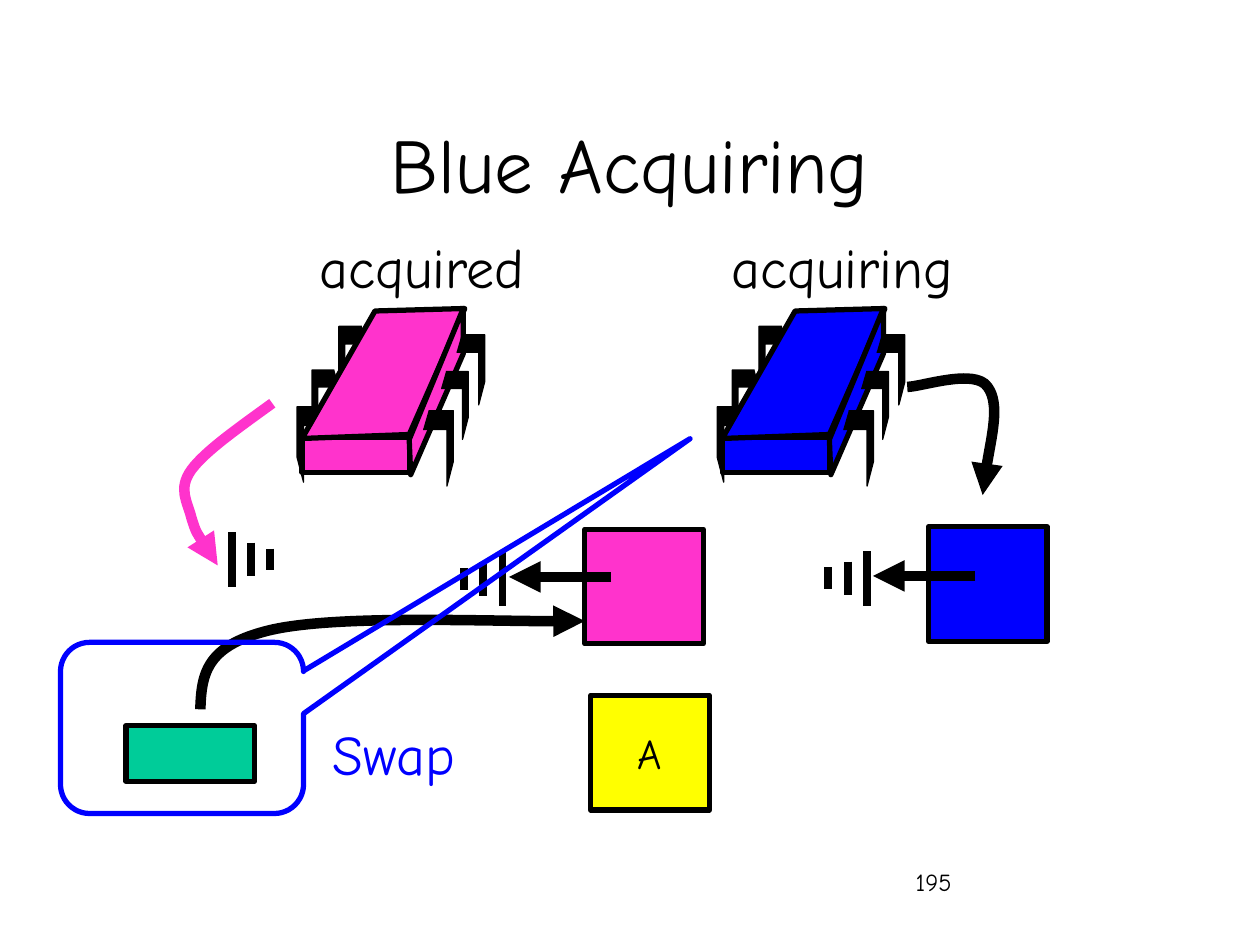
from dataclasses import dataclass

from lxml.etree import SubElement
from pptx import Presentation
from pptx.dml.color import RGBColor
from pptx.enum.shapes import MSO_CONNECTOR as Connector, MSO_SHAPE as Preset
from pptx.enum.text import MSO_ANCHOR as Anchor, MSO_AUTO_SIZE as AutoSize, PP_ALIGN as Align
from pptx.oxml.ns import qn
from pptx.util import Cm, Pt

COLORS = {"black": "000000", "pink": "FF33CC", "blue": "0000FF",
          "green": "00CC99", "yellow": "FFFF00"}
FONT = "Comic Neue"
TITLE_FRAME = {"word_wrap": True, "vertical_anchor": Anchor.MIDDLE}
LABEL_FRAME = {"word_wrap": False, "auto_size": AutoSize.SHAPE_TO_FIT_TEXT}
NODE_FRAME = {"word_wrap": False, "vertical_anchor": Anchor.MIDDLE}
NODE_SIZE = (2.39, 2.31)

Point = tuple[float, float]
Box = tuple[float, float, float, float]


@dataclass
class Label:
    text: str
    box: Box
    size: int = 32
    align: Align = Align.CENTER
    color: str = "black"


@dataclass
class Leg:
    x: float
    y: float
    side: int
    scale: float


@dataclass
class Robot:
    left: float
    color: str
    label: Label


@dataclass
class Ground:
    x: float
    y: float
    direction: int


@dataclass
class Curve:
    color: str
    points: list[Point]


ROBOT_TOP = 6.22
LEG_OUTLINE = [(0.5, 0), (0, 0), (0, 1.02), (0.13, 1.52), (0.13, 0.38), (0.61, 0.38)]
LEFT_LEGS = [Leg(0, 1.98, 1, 1), Leg(0.3, 1.24, 1, 0.9), Leg(0.84, 0.36, 1, 0.93)]
RIGHT_LEGS = [Leg(3.15, 2.06, -1, 1), Leg(3.45, 1.27, -1, 0.9), Leg(3.78, 0.53, -1, 0.93)]
ROBOT_FACES = [
    [(0.1, 2.62), (2.26, 2.54), (3.38, 0), (1.57, 0.05)],
    [(3.35, 0), (3.35, 0.91), (2.29, 3.35), (2.26, 2.64)],
]
ROBOTS = [
    Robot(5.99, "pink", Label("acquired", (5.99, 4.57, 5.03, 1.62))),
    Robot(14.46, "blue", Label("acquiring", (14.38, 4.57, 5.21, 1.6))),
]
GROUNDS = [Ground(10.13, 11.67, -1), Ground(4.67, 11.28, 1), Ground(17.48, 11.66, -1)]
GROUND_BARS = [1.1, 0.68, 0.44]
GROUND_STEP = 0.39
CURVES = [
    Curve("pink", [(5.49, 8.13), (4.83, 8.61), (4.14, 9.09), (3.86, 9.47), (3.58, 9.86),
                   (3.78, 10.11), (3.86, 10.44), (3.96, 10.77), (4.17, 11.07), (4.39, 11.4)]),
    Curve("black", [(4.04, 14.3), (4.06, 13.54), (4.19, 13), (5.46, 12.7),
                    (6.76, 12.4), (10.46, 12.55), (11.79, 12.52)]),
    Curve("black", [(18.29, 7.8), (18.57, 7.8), (19.66, 7.42), (19.91, 7.8),
                    (20.17, 8.15), (19.84, 9.53), (19.81, 9.98)]),
]
POINTERS = [((12.32, 11.63), (10.26, 11.63)), ((19.66, 11.61), (17.6, 11.61))]


def rgb(name: str) -> RGBColor:
    return RGBColor.from_string(COLORS[name])


def set_values(target, values: dict) -> None:
    for name, value in values.items():
        setattr(target, name, value)


def set_line(shape, color: str, width: float) -> None:
    shape.line.color.rgb = rgb(color)
    shape.line.width = Pt(width)


def style(shape, fill: str | None, line: str = "black", width: float = 3) -> None:
    shape.shadow.inherit = False
    if fill:
        shape.fill.solid()
        shape.fill.fore_color.rgb = rgb(fill)
    else:
        shape.fill.background()
    set_line(shape, line, width)


def write(shape, label: Label, frame_values: dict) -> None:
    set_values(shape.text_frame, frame_values)
    paragraph = shape.text_frame.paragraphs[0]
    paragraph.alignment = label.align
    run = paragraph.add_run()
    run.text = label.text
    set_values(run.font, {"name": FONT, "size": Pt(label.size)})
    run.font.color.rgb = rgb(label.color)


def add_label(shapes, label: Label, frame_values: dict = LABEL_FRAME) -> None:
    write(shapes.add_textbox(*map(Cm, label.box)), label, frame_values)


def add_rectangle(shapes, box: Box, fill: str):
    shape = shapes.add_shape(Preset.RECTANGLE, *map(Cm, box))
    style(shape, fill)
    return shape


def add_outline(shapes, points: list[Point], close: bool):
    start, *others = [(Cm(x), Cm(y)) for x, y in points]
    builder = shapes.build_freeform(*start)
    builder.add_line_segments(others, close=close)
    return builder.convert_to_shape()


def add_arrowhead(shape) -> None:
    SubElement(shape.line._get_or_add_ln(), qn("a:tailEnd"), type="triangle")


def add_curve(shapes, curve: Curve) -> None:
    """Turn each three segments of the control polygon into one Bézier segment."""
    shape = add_outline(shapes, curve.points, close=False)
    path = next(shape._element.iter(qn("a:path")))
    segments = path.findall(qn("a:lnTo"))
    for first in range(0, len(segments), 3):
        bezier = SubElement(path, qn("a:cubicBezTo"))
        for segment in segments[first:first + 3]:
            bezier.append(segment[0])
            path.remove(segment)
    style(shape, None, curve.color, 6)
    add_arrowhead(shape)


def add_line(shapes, start: Point, end: Point, width: float):
    line = shapes.add_connector(Connector.STRAIGHT, *map(Cm, (*start, *end)))
    set_line(line, "black", width)
    SubElement(line._element.spPr, qn("a:effectLst"))
    return line


def add_legs(shapes, robot: Robot, legs: list[Leg]) -> None:
    for leg in legs:
        points = [(robot.left + leg.x + leg.side * leg.scale * x,
                   ROBOT_TOP + leg.y + leg.scale * y) for x, y in LEG_OUTLINE]
        style(add_outline(shapes, points, close=False), "black", width=0.75)


def add_robot(slide, robot: Robot) -> None:
    shapes = slide.shapes.add_group_shape().shapes
    add_rectangle(shapes, (robot.left + 0.1, ROBOT_TOP + 2.59, 2.16, 0.71), robot.color)
    add_legs(shapes, robot, LEFT_LEGS)
    for face in ROBOT_FACES:
        points = [(robot.left + x, ROBOT_TOP + y) for x, y in face]
        style(add_outline(shapes, points, close=True), robot.color)
    add_legs(shapes, robot, RIGHT_LEGS)
    add_label(shapes, robot.label)


def add_ground(slide, ground: Ground) -> None:
    shapes = slide.shapes.add_group_shape().shapes
    for index, height in enumerate(GROUND_BARS):
        x = ground.x + ground.direction * index * GROUND_STEP
        add_line(shapes, (x, ground.y - height / 2), (x, ground.y + height / 2), 4.5)


def main() -> None:
    presentation = Presentation()
    set_values(presentation, {"slide_width": Cm(25.4), "slide_height": Cm(19.05)})
    slide = presentation.slides.add_slide(presentation.slide_layouts[6])
    shapes = slide.shapes

    add_label(shapes, Label("195", (18.21, 17.35, 5.28, 1.27), 14, Align.LEFT), {"word_wrap": True})
    add_label(shapes, Label("Blue Acquiring", (1.9, 1.7, 21.59, 3.18), 44), TITLE_FRAME)
    add_rectangle(shapes, (2.54, 14.63, 2.59, 1.12), "green")
    for robot in ROBOTS:
        add_robot(slide, robot)

    lock_box = (11.91, 14.02, *NODE_SIZE)
    lock_node = add_rectangle(shapes, lock_box, "yellow")
    write(lock_node, Label("A", lock_box, 24), NODE_FRAME)
    add_rectangle(shapes, (11.79, 10.67, *NODE_SIZE), "pink")
    add_rectangle(shapes, (18.72, 10.62, *NODE_SIZE), "blue")

    for curve in CURVES:
        add_curve(shapes, curve)
    for start, end in POINTERS:
        add_arrowhead(add_line(shapes, start, end, 6))
    for ground in GROUNDS:
        add_ground(slide, ground)

    callout = shapes.add_shape(Preset.ROUNDED_RECTANGULAR_CALLOUT, *map(Cm, (1.22, 12.95, 4.9, 3.45)))
    for index, value in enumerate((2.09, -1.69, 0.17)):
        callout.adjustments[index] = value
    style(callout, None, "blue")
    add_label(shapes, Label("Swap", (6.17, 14.38, 3.25, 1.6), 32, Align.RIGHT, "blue"))
    presentation.save("out.pptx")


if __name__ == "__main__":
    main()
